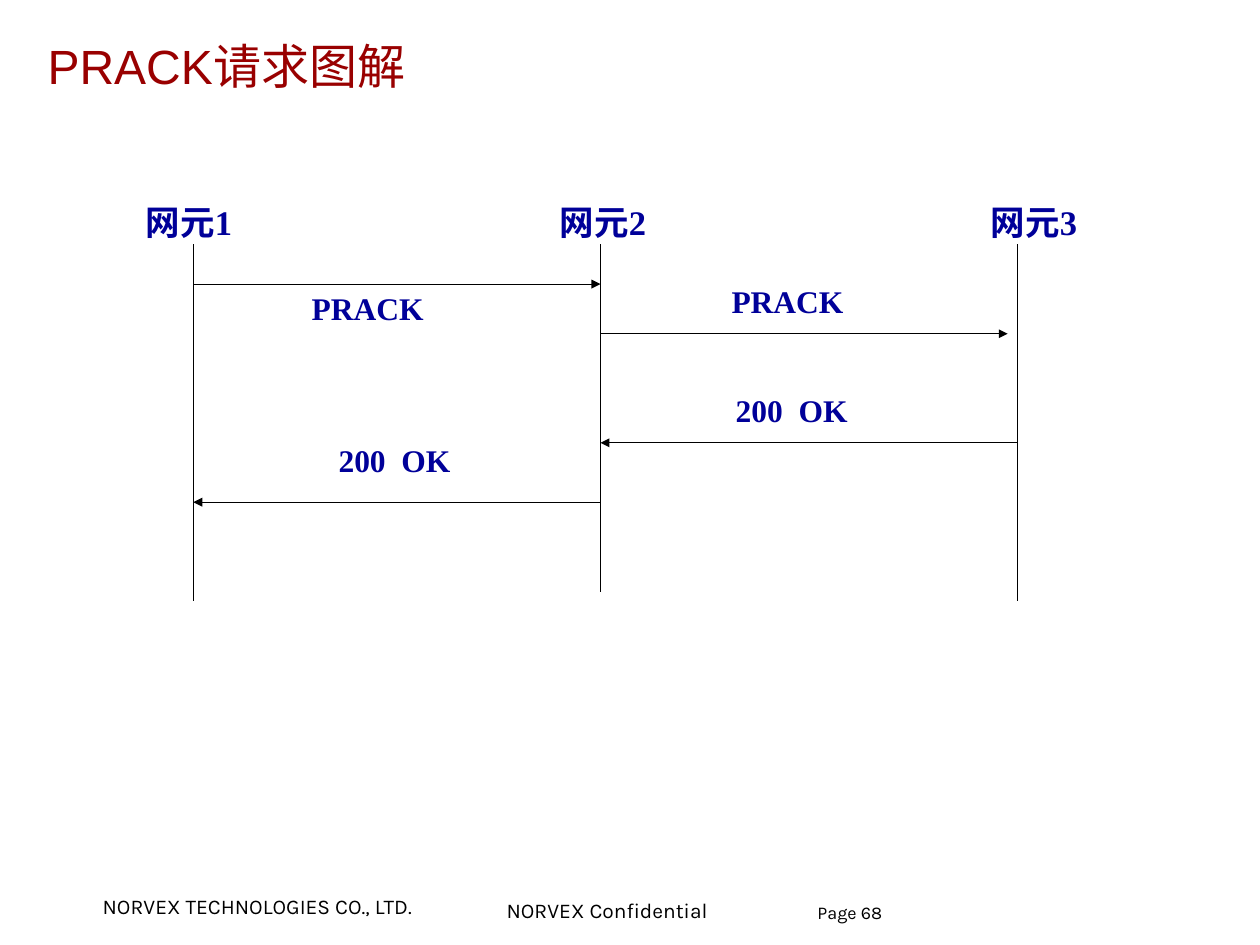
from lxml.etree import SubElement
from pptx import Presentation
from pptx.dml.color import RGBColor
from pptx.enum.shapes import MSO_CONNECTOR as Connector
from pptx.enum.text import MSO_ANCHOR as Anchor, PP_ALIGN as Align
from pptx.oxml.ns import qn
from pptx.util import Pt

COLORS = {"title": "990000", "label": "000099", "ink": "000000"}
LIFELINE_TOP = 162.7
LIFELINES = [
    ("网元1", 126, 128.9, 401),
    ("网元2", 402, 400.3, 394.6),
    ("网元3", 689.3, 678.2, 401),
]
MESSAGES = [
    ("PRACK", 245, 205.3, 128.9, 400.3, 189.4),
    ("PRACK", 525, 200.7, 400.3, 671.8, 222.5),
    ("200  OK", 527.7, 273.3, 678.2, 400.3, 295.2),
    ("200  OK", 263, 306.7, 400.3, 128.9, 334.8),
]
FOOTERS = [
    ("NORVEX TECHNOLOGIES CO., LTD.", 68.4, 604, 228, 14),
    ("NORVEX Confidential", 337.7, 606.9, 142, 14),
    ("Page 68", 545, 608, 97, 12),
]


def add_text(slide, text, left, top, width, height, *, size, font, color,
             bold=False, align=Align.LEFT, anchor=Anchor.MIDDLE):
    """Add a text box without margins."""
    shape = slide.shapes.add_textbox(Pt(left), Pt(top), Pt(width), Pt(height))
    frame = shape.text_frame
    frame.word_wrap = True
    frame.vertical_anchor = anchor
    frame.margin_left = frame.margin_right = 0
    frame.margin_top = frame.margin_bottom = 0
    paragraph = frame.paragraphs[0]
    paragraph.alignment = align
    run = paragraph.add_run()
    run.text = text
    run.font.size = Pt(size)
    run.font.name = font
    run.font.bold = bold
    run.font.color.rgb = RGBColor.from_string(COLORS[color])


def add_line(slide, start_x, start_y, end_x, end_y, arrow=False):
    """Add a thin straight line, with an arrowhead at its end if asked."""
    line = slide.shapes.add_connector(
        Connector.STRAIGHT, Pt(start_x), Pt(start_y), Pt(end_x), Pt(end_y))
    line.line.width = Pt(0.75)
    line.line.color.rgb = RGBColor.from_string(COLORS["ink"])
    if arrow:
        SubElement(line.line._get_or_add_ln(), qn("a:tailEnd"), type="triangle")
    SubElement(line._element.spPr, qn("a:effectLst"))


def add_lifeline(slide, name, name_x, line_x, bottom):
    """Add a network element's name and its vertical line."""
    add_text(slide, name, name_x - 60, 133.9, 120, 28, size=23,
             font="Times New Roman", color="label", bold=True,
             align=Align.CENTER, anchor=Anchor.TOP)
    add_line(slide, line_x, LIFELINE_TOP, line_x, bottom)


def add_message(slide, text, text_x, text_y, start_x, end_x, arrow_y):
    """Add a message arrow and its label, centred on the given point."""
    add_line(slide, start_x, arrow_y, end_x, arrow_y, arrow=True)
    add_text(slide, text, text_x - 56, text_y - 13, 112, 26, size=21,
             font="Times New Roman", color="label", bold=True,
             align=Align.CENTER)


def main():
    """Build the slide and save it."""
    presentation = Presentation()
    presentation.slide_width = Pt(840)
    presentation.slide_height = Pt(630)
    slide = presentation.slides.add_slide(presentation.slide_layouts[6])
    add_text(slide, "PRACK请求图解", 31.7, 24.5, 466, 40, size=32,
             font="Arial", color="title", anchor=Anchor.TOP)
    for lifeline in LIFELINES:
        add_lifeline(slide, *lifeline)
    for message in MESSAGES:
        add_message(slide, *message)
    for text, left, middle, width, size in FOOTERS:
        add_text(slide, text, left, middle - 9, width, 18, size=size,
                 font="Karla", color="ink")
    presentation.save("out.pptx")


if __name__ == "__main__":
    main()
